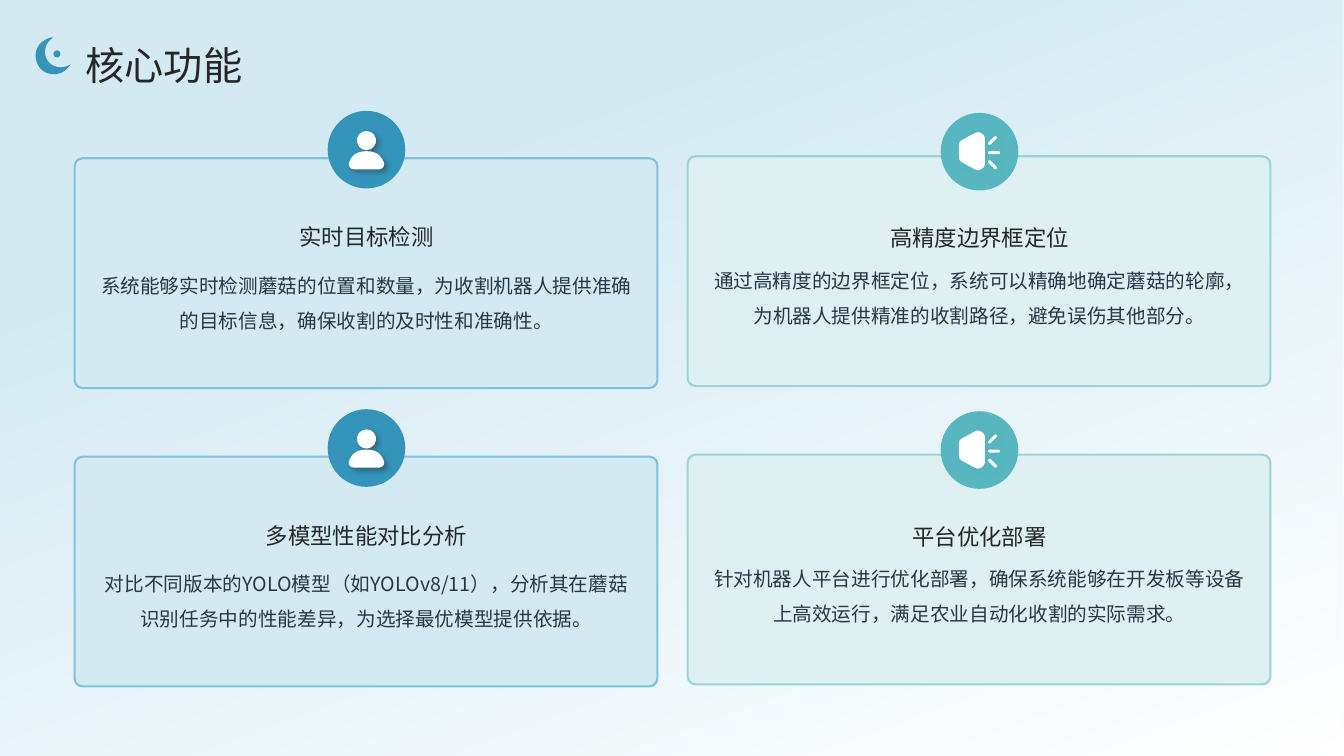
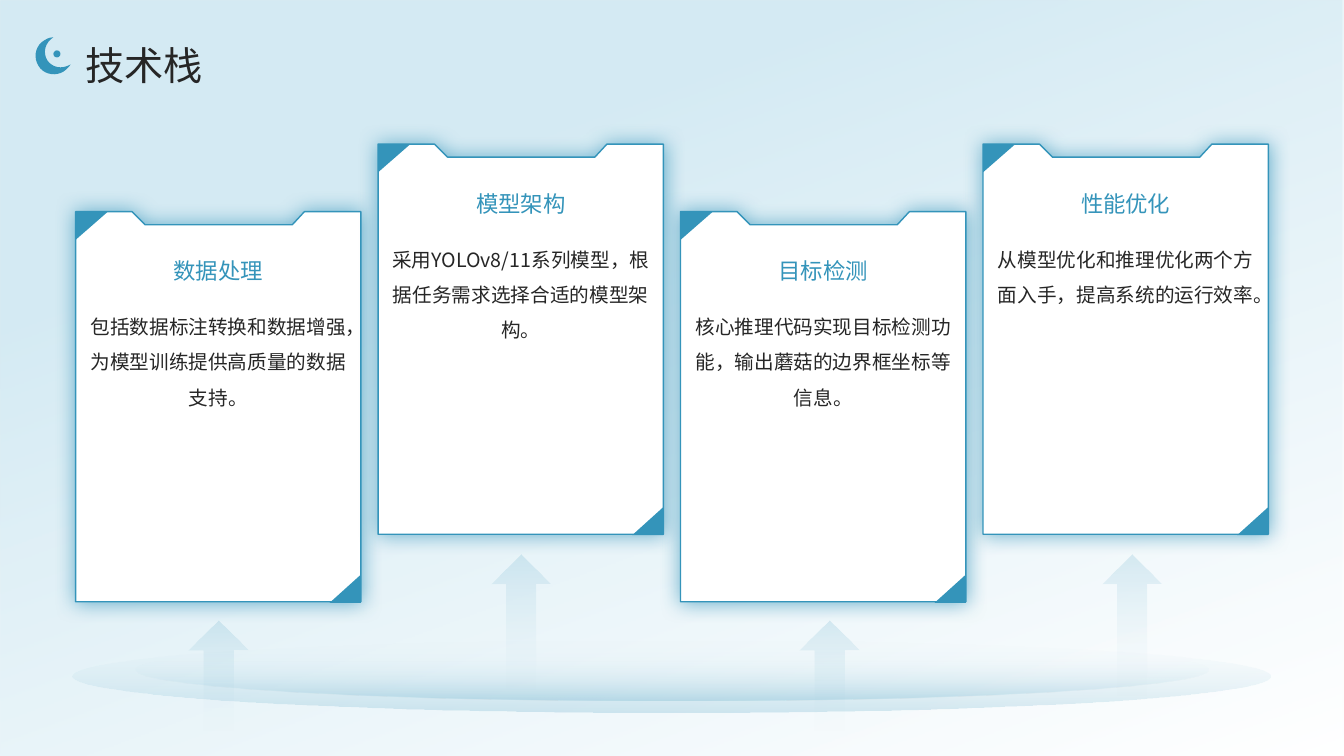
from dataclasses import dataclass
from math import atan2, cos, dist, pi, sin

from lxml.etree import SubElement
from pptx import Presentation
from pptx.dml.color import RGBColor
from pptx.enum.lang import MSO_LANGUAGE_ID
from pptx.enum.shapes import MSO_SHAPE
from pptx.enum.text import MSO_ANCHOR, PP_ALIGN
from pptx.oxml.ns import qn
from pptx.util import Inches, Pt


@dataclass(frozen=True)
class Theme:
    font: str = "Noto Sans CJK SC"
    blue: str = "3494BA"
    blue_line: str = "7FC1DB"
    pale_blue: str = "D4EAF3"
    teal: str = "58B6C0"
    teal_line: str = "9BD3D9"
    pale_teal: str = "DEF0F2"
    white: str = "FFFFFF"
    ink: str = "262626"
    slate: str = "253848"
    title_size: int = 28
    heading_size: int = 16
    body_size: int = 14


THEME = Theme()


def rgb(value):
    return RGBColor.from_string(value)


def outline(start, *segments):
    """Points of a contour; a segment is one line end or three Bézier points."""
    points = [start]
    for segment in segments:
        if len(segment) == 1:
            points.append(segment[0])
            continue
        curve = (points[-1], *segment)
        steps = max(1, round(dist(curve[0], curve[3]) / 3))
        for step in range(1, steps + 1):
            t = step / steps
            weights = ((1 - t) ** 3, 3 * t * (1 - t) ** 2, 3 * t * t * (1 - t), t ** 3)
            points.append(tuple(sum(w * c[axis] for w, c in zip(weights, curve))
                                for axis in (0, 1)))
    return points


def capsule(start, end, radius):
    """Points of a round-ended bar; equal ends make a circle."""
    heading = atan2(end[1] - start[1], end[0] - start[0])
    steps = 3 + int(radius / 2)
    points = []
    for (x, y), first in ((end, heading - pi / 2), (start, heading + pi / 2)):
        for step in range(steps + 1):
            angle = first + pi * step / steps
            points.append((x + radius * cos(angle), y + radius * sin(angle)))
    return points


# Icon contours, in hundredths of an inch
PERSON = [
    capsule((17.5, 9.5), (17.5, 9.5), 9.5),
    outline((17.5, 20), ((29, 20), (33, 26), (35, 32)), ((36, 35), (33, 38), (30, 38)),
            ((5, 38),), ((2, 38), (-1, 35), (0, 32)), ((2, 26), (6, 20), (17.5, 20))),
]
MEGAPHONE = [
    outline((19, 0), ((20, 0), (21, 0), (22, 1)), ((24, 2), (26, 4), (26, 6)),
            ((26, 32),), ((26, 34), (24, 36), (22, 37)), ((21, 38), (20, 38), (19, 38)),
            ((18, 38), (17, 38), (16, 37)), ((3, 30),), ((1, 29), (0, 27), (0, 24.5)),
            ((0, 13),), ((0, 11), (1, 9), (3, 8)), ((16, 1),),
            ((17, 0), (18, 0), (19, 0))),
    capsule((30.5, 11.5), (36.5, 5.5), 1.5),
    capsule((30.5, 20.5), (39.5, 20.5), 1.5),
    capsule((30.5, 29.5), (36.5, 35.5), 1.5),
]
MOON = [
    outline((53, 37), ((50, 37), (47, 38), (44, 40)), ((35, 45), (33, 57), (38, 65)),
            ((43, 74), (55, 76), (63, 71)), ((66, 69), (68, 67), (70, 64)),
            ((61, 69), (52, 67), (47, 60)), ((42, 52), (45, 42), (53, 37))),
]
FOLDER = [[(0, 0), (56, 0), (69, 13), (215, 13), (227, 0), (283, 0), (283, 387), (0, 387)]]


class Deck:
    def __init__(self, theme):
        self.theme = theme
        self.prs = Presentation()
        self.prs.slide_width = Inches(13.33)
        self.prs.slide_height = Inches(7.5)
        self.s = None

    def new_slide(self, title):
        t = self.theme
        self.s = self.prs.slides.add_slide(self.prs.slide_layouts[6])
        self.gradient_shape(MSO_SHAPE.RECTANGLE, 0, 0, 13.33, 7.5,
                            (0.26, t.pale_blue, 100), (1, t.white, 92), angle=70)
        self.text(title, 0.85, 0.27, 11.35, 0.59, t.title_size, t.ink, 1.3,
                  align=PP_ALIGN.LEFT, inset=False)
        self.freeform(MOON, 0, 0, t.blue)
        self.shape(MSO_SHAPE.OVAL, 0.53, 0.5, 0.07, 0.07, t.blue)

    def text(self, words, x, y, w, h, size, color, spacing,
             align=PP_ALIGN.CENTER, anchor=MSO_ANCHOR.TOP, inset=True):
        box = self.s.shapes.add_textbox(Inches(x), Inches(y), Inches(w), Inches(h))
        tf = box.text_frame
        tf.word_wrap = True
        tf.vertical_anchor = anchor
        if not inset:
            tf.margin_left = tf.margin_top = tf.margin_right = tf.margin_bottom = 0
        p = tf.paragraphs[0]
        p.alignment = align
        p.line_spacing = spacing
        r = p.add_run()
        r.text = words
        r.font.size = Pt(size)
        r.font.color.rgb = rgb(color)
        r.font.language_id = MSO_LANGUAGE_ID.SIMPLIFIED_CHINESE
        r.font.name = self.theme.font
        SubElement(r.font._element, qn("a:ea")).set("typeface", self.theme.font)

    def finish(self, sp, fill, line, width):
        sp.shadow.inherit = False
        if fill:
            sp.fill.solid()
            sp.fill.fore_color.rgb = rgb(fill)
        if line:
            sp.line.color.rgb = rgb(line)
            sp.line.width = Pt(width)
        else:
            sp.line.fill.background()
        return sp

    def shape(self, preset, x, y, w, h, fill=None, line=None, width=1.5, flip=None):
        sp = self.s.shapes.add_shape(preset, Inches(x), Inches(y), Inches(w), Inches(h))
        if flip:
            sp._element.spPr.xfrm.set(flip, "1")
        return self.finish(sp, fill, line, width)

    def gradient_shape(self, preset, x, y, w, h, *stops, angle=90):
        """Gradient of (position, colour, opacity %); the angle turns clockwise."""
        sp = self.shape(preset, x, y, w, h)
        sp.fill.gradient()
        sp.fill.gradient_angle = 360 - angle
        for stop, (position, color, _) in zip(sp.fill.gradient_stops, stops):
            stop.position = position
            stop.color.rgb = rgb(color)
        for color, (_, _, opacity) in zip(sp._element.spPr.iter(qn("a:srgbClr")), stops):
            if opacity < 100:
                SubElement(color, qn("a:alpha")).set("val", str(opacity * 1000))

    def freeform(self, contours, x, y, fill, line=None, width=1):
        builder = None
        for contour in contours:
            points = [(Inches(x + px / 100), Inches(y + py / 100)) for px, py in contour]
            if builder is None:
                builder = self.s.shapes.build_freeform(*points[0])
            else:
                builder.move_to(*points[0])
            builder.add_line_segments(points[1:], close=True)
        return self.finish(builder.convert_to_shape(), fill, line, width)

    def shadow(self, sp, color, opacity, blur, distance=0, angle=0):
        effects = sp._element.spPr.find(qn("a:effectLst"))
        outer = SubElement(effects, qn("a:outerShdw"), blurRad=str(Pt(blur)),
                           dist=str(Pt(distance)), dir=str(angle * 60000),
                           algn="ctr", rotWithShape="0")
        shade = SubElement(outer, qn("a:srgbClr"), val=color)
        SubElement(shade, qn("a:alpha"), val=str(opacity * 1000))

    def feature(self, look, drop, heading, body):
        t = self.theme
        x = look.x
        card = self.shape(MSO_SHAPE.ROUNDED_RECTANGLE, x, look.card_y + drop, 5.78, 2.28,
                          look.fill, look.line)
        card.adjustments[0] = 0.035
        badge_x, badge_y = x + 2.51, look.badge_y + drop
        self.shape(MSO_SHAPE.FLOWCHART_CONNECTOR, badge_x, badge_y, 0.77, 0.77, look.accent)
        icon = self.freeform(look.icon, badge_x + look.icon_dx, badge_y + look.icon_dy,
                             t.white)
        self.shadow(icon, look.icon_shadow, 40, 4, 3, 45)
        self.text(heading, x + 0.13, look.heading_y + drop, 5.53, 0.4,
                  t.heading_size, t.ink, 1.1)
        self.text(body, x + 0.13, look.body_y + drop, 5.53, 1.12,
                  t.body_size, t.slate, 1.5)

    def folder(self, x, y, heading, body):
        t = self.theme
        card = self.freeform(FOLDER, x, y, t.white, t.blue)
        self.shadow(card, t.blue, 70, 15)
        corner = MSO_SHAPE.RIGHT_TRIANGLE
        self.shape(corner, x, y, 0.32, 0.28, t.blue, flip="flipV")
        self.shape(corner, x + 2.52, y + 3.6, 0.31, 0.28, t.blue, flip="flipH")
        self.text(heading, x + 0.11, y + 0.2, 2.61, 0.69, t.heading_size, t.blue, 1.3,
                  anchor=MSO_ANCHOR.MIDDLE, inset=False)
        self.text(body, x + 0.11, y + 0.91, 2.61, 2.76, t.body_size, t.ink, 1.5,
                  inset=False)


@dataclass(frozen=True)
class ColumnLook:
    x: float
    card_y: float
    badge_y: float
    heading_y: float
    body_y: float
    fill: str
    line: str
    accent: str
    icon: list
    icon_dx: float
    icon_dy: float
    icon_shadow: str


LEFT = ColumnLook(0.74, 1.57, 1.1, 2.14, 2.55, THEME.pale_blue, THEME.blue_line,
                  THEME.blue, PERSON, 0.21, 0.2, THEME.ink)
RIGHT = ColumnLook(6.82, 1.55, 1.12, 2.15, 2.5, THEME.pale_teal, THEME.teal_line,
                   THEME.teal, MEGAPHONE, 0.18, 0.19, THEME.teal)
ROW_PITCH = 2.96

FEATURES = [
    (LEFT, 0, "实时目标检测",
     "系统能够实时检测蘑菇的位置和数量，为收割机器人提供准确的目标信息，确保收割的及时性和准确性。"),
    (RIGHT, 0, "高精度边界框定位",
     "通过高精度的边界框定位，系统可以精确地确定蘑菇的轮廓，为机器人提供精准的收割路径，避免误伤其他部分。"),
    (LEFT, 1, "多模型性能对比分析",
     "对比不同版本的YOLO模型（如YOLOv8/11），分析其在蘑菇识别任务中的性能差异，为选择最优模型提供依据。"),
    (RIGHT, 1, "平台优化部署",
     "针对机器人平台进行优化部署，确保系统能够在开发板等设备上高效运行，满足农业自动化收割的实际需求。"),
]
STACK = [
    ("数据处理", "包括数据标注转换和数据增强，为模型训练提供高质量的数据支持。"),
    ("模型架构", "采用YOLOv8/11系列模型，根据任务需求选择合适的模型架构。"),
    ("目标检测", "核心推理代码实现目标检测功能，输出蘑菇的边界框坐标等信息。"),
    ("性能优化", "从模型优化和推理优化两个方面入手，提高系统的运行效率。"),
]


def features_slide(deck):
    deck.new_slide("核心功能")
    for look, row, heading, body in FEATURES:
        deck.feature(look, row * ROW_PITCH, heading, body)


def stack_slide(deck):
    t = deck.theme
    deck.new_slide("技术栈")
    for i, (heading, body) in enumerate(STACK):
        deck.folder(0.75 + 3 * i, (2.1, 1.43)[i % 2], heading, body)
    for x, w, h, start in ((0.72, 11.88, 0.73, 0), (1.34, 10.65, 0.61, 0.36)):
        deck.gradient_shape(MSO_SHAPE.OVAL, x, 6.34, w, h,
                            (start, t.pale_blue, 0), (1, t.blue, 20))
    for i, x in enumerate((1.87, 4.87, 7.93, 10.93)):
        y, h = ((6.16, 1.12), (5.5, 1.45))[i % 2]
        deck.gradient_shape(MSO_SHAPE.UP_ARROW, x, y, 0.59, h,
                            (0, t.blue, 16), (1, t.pale_blue, 0))


def main():
    deck = Deck(THEME)
    features_slide(deck)
    stack_slide(deck)
    deck.prs.save("out.pptx")


if __name__ == "__main__":
    main()
